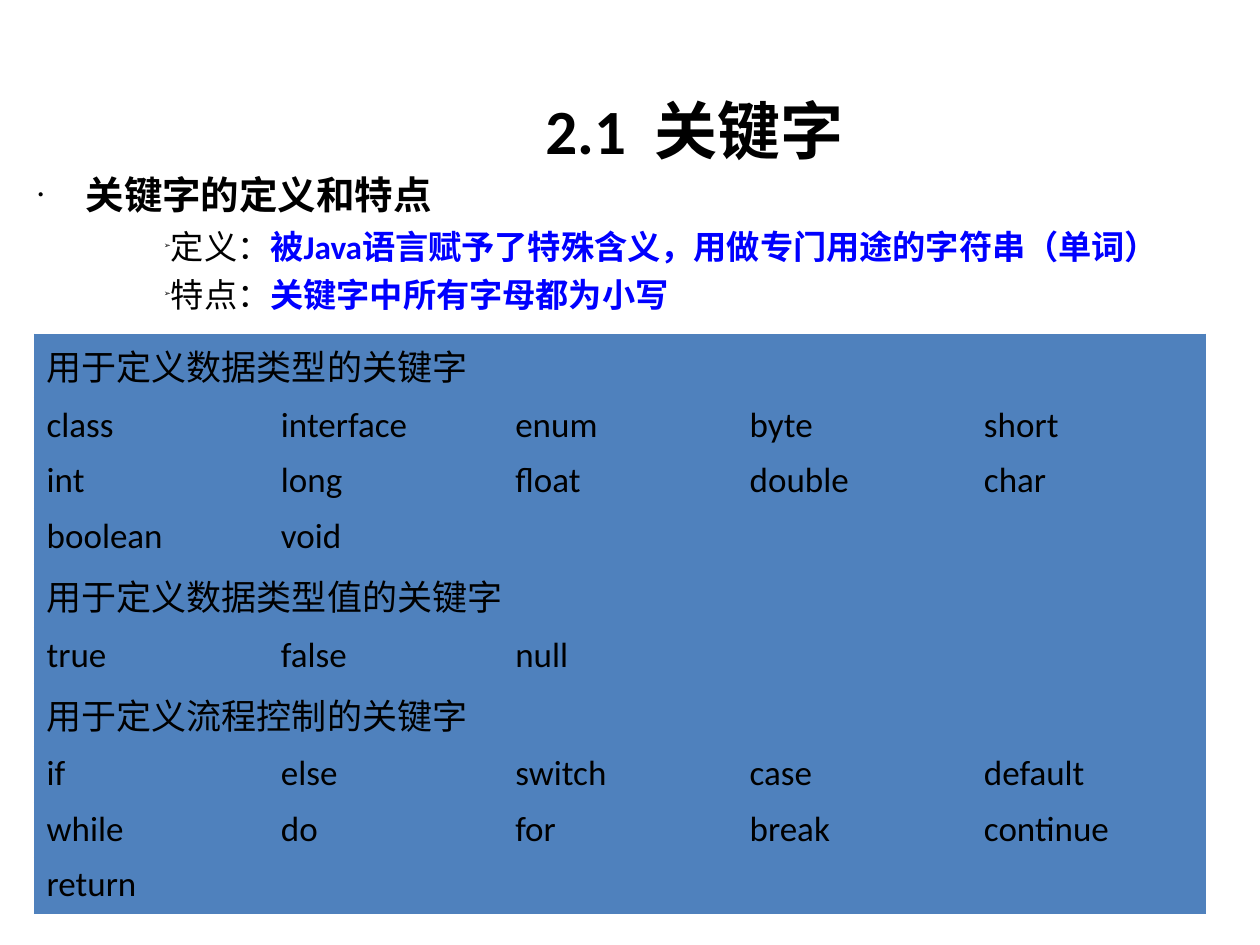
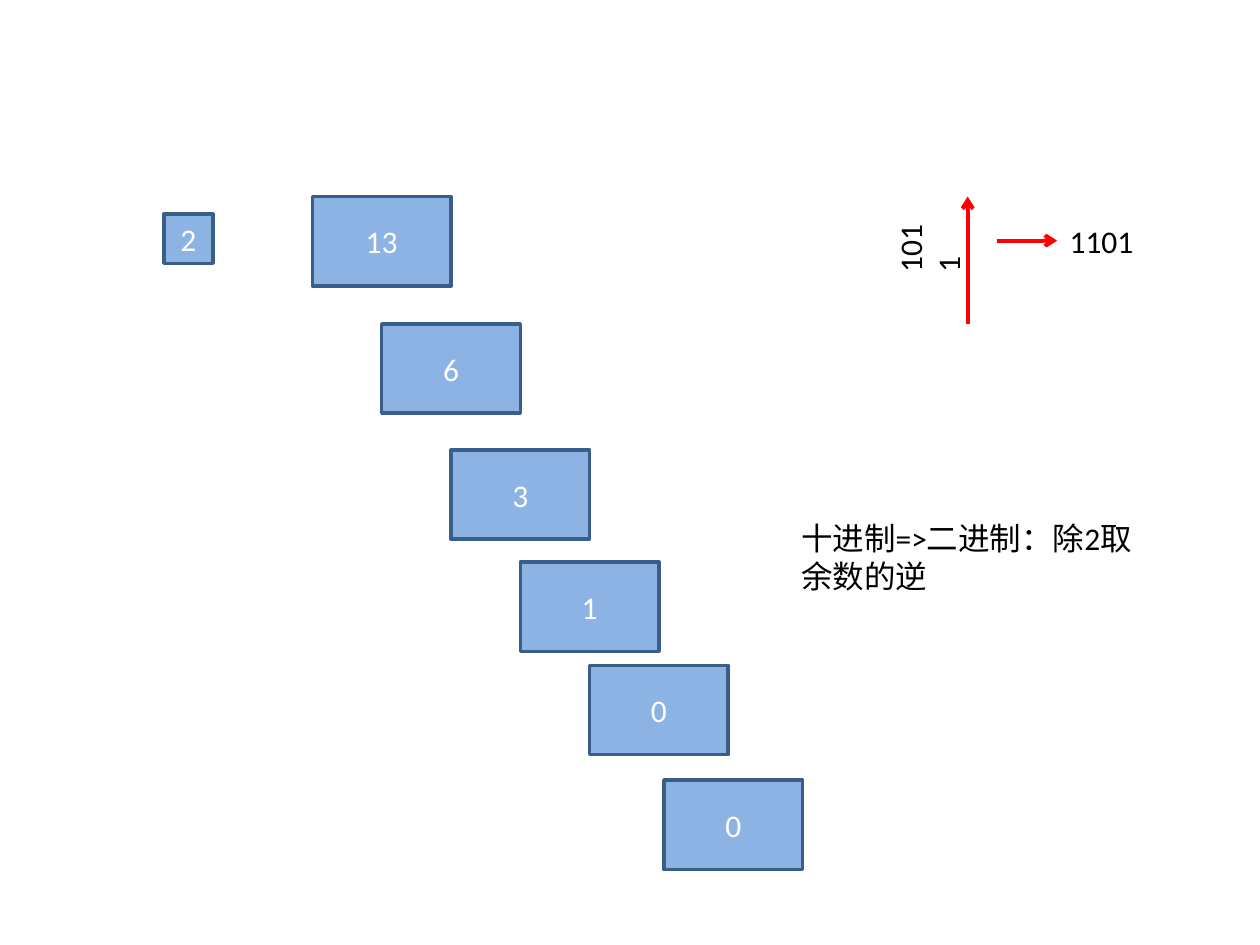
from dataclasses import dataclass
from lxml import etree
from pptx import Presentation
from pptx import util as u
from pptx.dml.color import RGBColor as Rgb
from pptx.enum import shapes as sh, text as tx
from pptx.oxml import ns


@dataclass(frozen=True)
class Theme:
    font: str = "Calibri"
    black: str = "000000"
    white: str = "FFFFFF"
    blue: str = "0000FF"
    red: str = "FF0000"
    grid: str = "4F81BD"
    box: str = "8CB3E3"
    edge: str = "395E8A"
    title: int = 36
    head: int = 22
    list: int = 19
    cell: int = 20
    note: int = 18


look = Theme()
PX = 9144


def px(*nums):
    return [u.Emu(num * PX) for num in nums]


def write(para, size, *parts):
    for words, color, bold in parts:
        run = para.add_run()
        run.text = words
        run.font.name = look.font
        run.font.size = u.Pt(size)
        run.font.bold = bold
        run.font.color.rgb = Rgb.from_string(color)


deck = Presentation()
deck.slide_width, deck.slide_height = px(1000, 750)

page = deck.slides.add_slide(deck.slide_layouts[1])
title, body = page.placeholders
for item, spot in ((title, (374, 52, 354, 102)), (body, (20, 131, 930, 148))):
    item.left, item.top, item.width, item.height = px(*spot)
    item.text_frame.auto_size = tx.MSO_AUTO_SIZE.NONE
title.text_frame.vertical_anchor = tx.MSO_ANCHOR.MIDDLE
head = title.text_frame.paragraphs[0]
head.alignment = tx.PP_ALIGN.CENTER
write(head, look.title, *[(word, look.black, True) for word in ("2.1", " ", "关键字")])
head.runs[1].font._element.set("spc", "800")

points = [
    (0, look.head, 5.5, "●", 38, -38, [("关键字的定义和特点", look.black, True)]),
    (1, look.list, 4.8, "➢", 50, 50, [
        ("定义：", look.black, False),
        ("被Java语言赋予了特殊含义，用做专门用途的字符串（单词）", look.blue, True)]),
    (1, look.list, 4.8, "➢", 50, 50, [
        ("特点：", look.black, False),
        ("关键字中所有字母都为小写", look.blue, True)]),
]
frame = body.text_frame
for row, (level, size, gap, mark, left, dent, parts) in enumerate(points):
    para = frame.add_paragraph() if row else frame.paragraphs[0]
    para.level = level
    para.space_before = u.Pt(gap)
    write(para, size, *parts)
    prop = para._p.get_or_add_pPr()
    prop.set("marL", str(left * PX))
    prop.set("indent", str(dent * PX))
    tint = etree.SubElement(prop, ns.qn("a:buClr"))
    etree.SubElement(tint, ns.qn("a:srgbClr"), val=look.black)
    etree.SubElement(prop, ns.qn("a:buSzPct"), val="25000")
    etree.SubElement(prop, ns.qn("a:buChar"), char=mark)

words = [
    ["用于定义数据类型的关键字"],
    ["class", "interface", "enum", "byte", "short"],
    ["int", "long", "float", "double", "char"],
    ["boolean", "void"],
    ["用于定义数据类型值的关键字"],
    ["true", "false", "null"],
    ["用于定义流程控制的关键字"],
    ["if", "else", "switch", "case", "default"],
    ["while", "do", "for", "break", "continue"],
    ["return"],
]
heads = (0, 4, 6)
grid = page.shapes.add_table(len(words), 5, *px(27, 265, 930, 440)).table
grid.first_row = grid.horz_banding = False
for row, line in enumerate(words):
    for col in range(5):
        cell = grid.cell(row, col)
        cell.margin_left = cell.margin_right = px(10)[0]
        cell.margin_top = cell.margin_bottom = px(5)[0]
        if col < len(line):
            para = cell.text_frame.paragraphs[0]
            para.space_before = u.Pt(5)
            write(para, look.cell, (line[col], look.black, False))
        prop = cell._tc.get_or_add_tcPr()
        for side in ("lnL", "lnR", "lnT", "lnB"):
            rule = etree.SubElement(prop, ns.qn("a:" + side), w=str(u.Pt(0.34)))
            fill = etree.SubElement(rule, ns.qn("a:solidFill"))
            etree.SubElement(fill, ns.qn("a:srgbClr"), val=look.grid)
        cell.fill.solid()
        cell.fill.fore_color.rgb = Rgb.from_string(look.grid)
    if row in heads:
        grid.cell(row, 0).merge(grid.cell(row, 4))

page = deck.slides.add_slide(deck.slide_layouts[6])
steps = [("13", 248, 156), ("6", 303, 257), ("3", 358, 357),
         ("1", 413, 446), ("0", 468, 528), ("0", 527, 619)]
boxes = [(value, (left, top, 110, 71)) for value, left, top in steps]
boxes.insert(1, ("2", (130, 170, 39, 39)))
for value, spot in boxes:
    box = page.shapes.add_shape(sh.MSO_SHAPE.RECTANGLE, *px(*spot))
    box.shadow.inherit = False
    box.fill.solid()
    box.fill.fore_color.rgb = Rgb.from_string(look.box)
    box.line.color.rgb = Rgb.from_string(look.edge)
    box.line.width = u.Pt(2)
    box.text_frame.vertical_anchor = tx.MSO_ANCHOR.MIDDLE
    para = box.text_frame.paragraphs[0]
    para.alignment = tx.PP_ALIGN.CENTER
    write(para, look.note, (value, look.white, False))

notes = {}
for words, spot in (("1011", (702, 156, 51, 70)),
                    ("1101", (839, 171, 118, 40)),
                    ("十进制=>二进制：除2取余数的逆", (626, 407, 307, 70))):
    note = page.shapes.add_textbox(*px(*spot))
    note.text_frame.word_wrap = True
    note.text_frame.auto_size = tx.MSO_AUTO_SIZE.SHAPE_TO_FIT_TEXT
    write(note.text_frame.paragraphs[0], look.note, (words, look.black, False))
    notes[words] = note
notes["1011"].text_frame._txBody.bodyPr.set("vert", "vert270")

for ends in ((768, 257, 768, 156), (791, 191, 839, 191)):
    arrow = page.shapes.add_connector(sh.MSO_CONNECTOR.STRAIGHT, *px(*ends))
    arrow.line.color.rgb = Rgb.from_string(look.red)
    arrow.line.width = u.Pt(2.25)
    etree.SubElement(arrow.line._get_or_add_ln(), ns.qn("a:tailEnd"), type="arrow")
    etree.SubElement(arrow._element.spPr, ns.qn("a:effectLst"))
arrow.end_connect(notes["1101"], 1)

deck.save("out.pptx")
